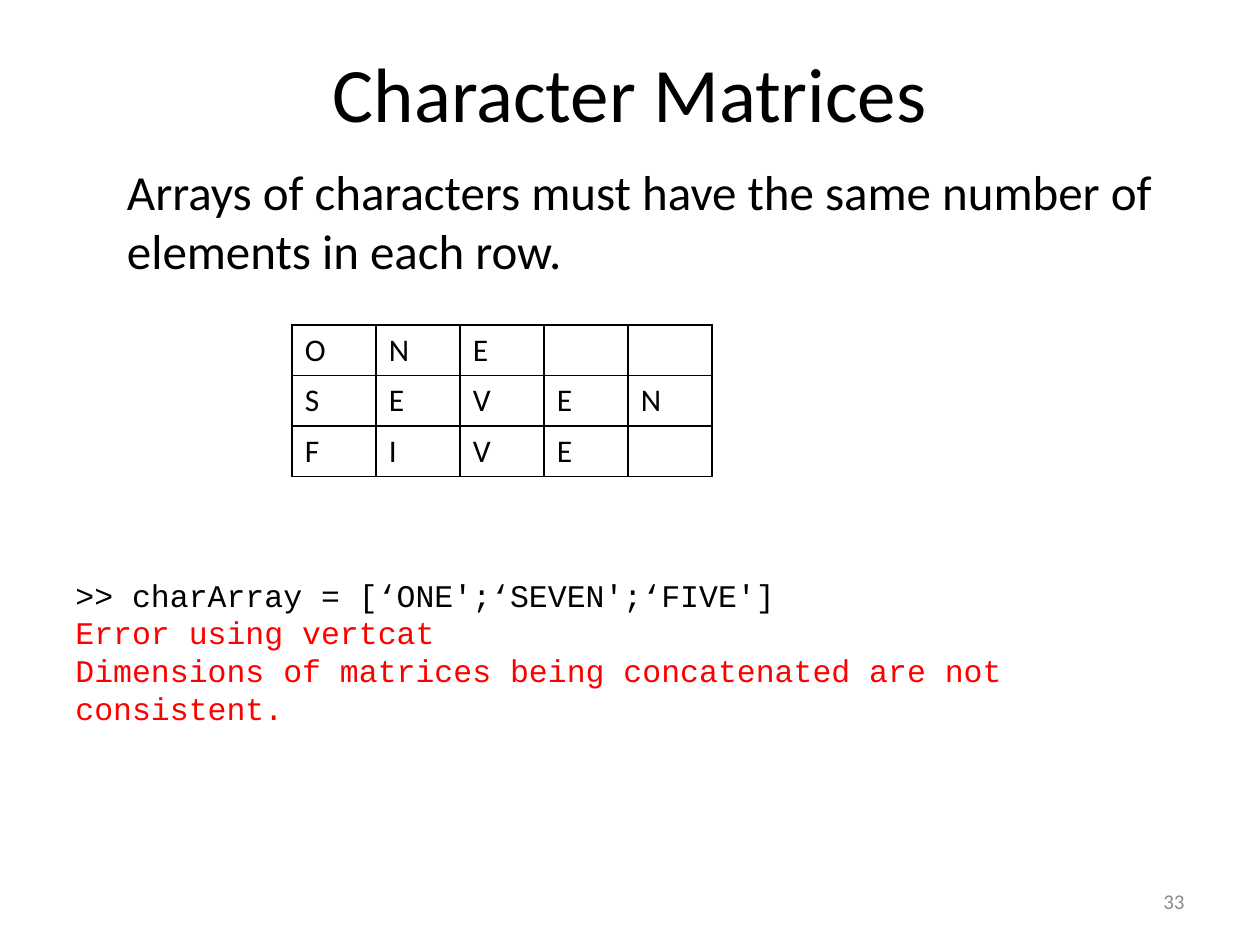
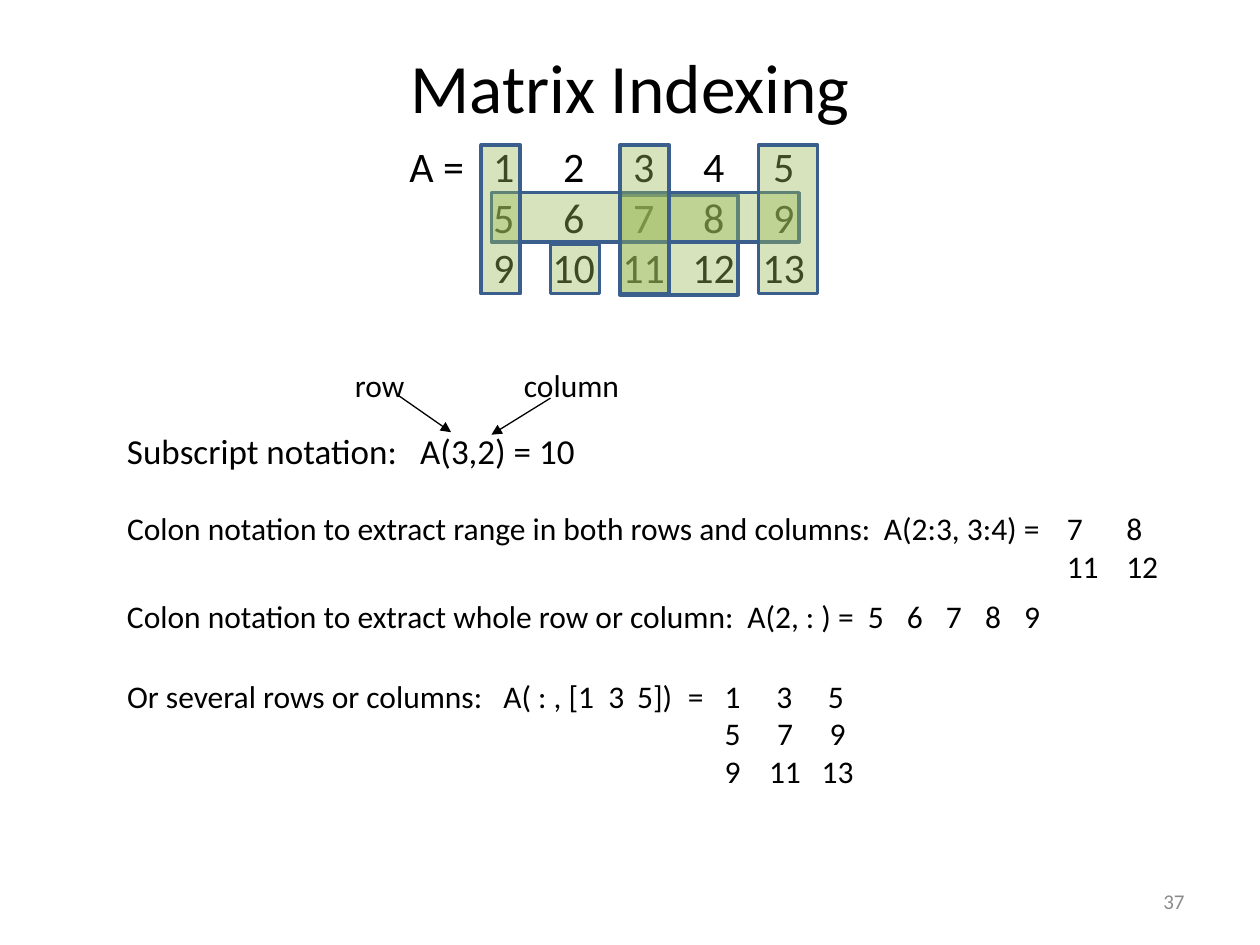
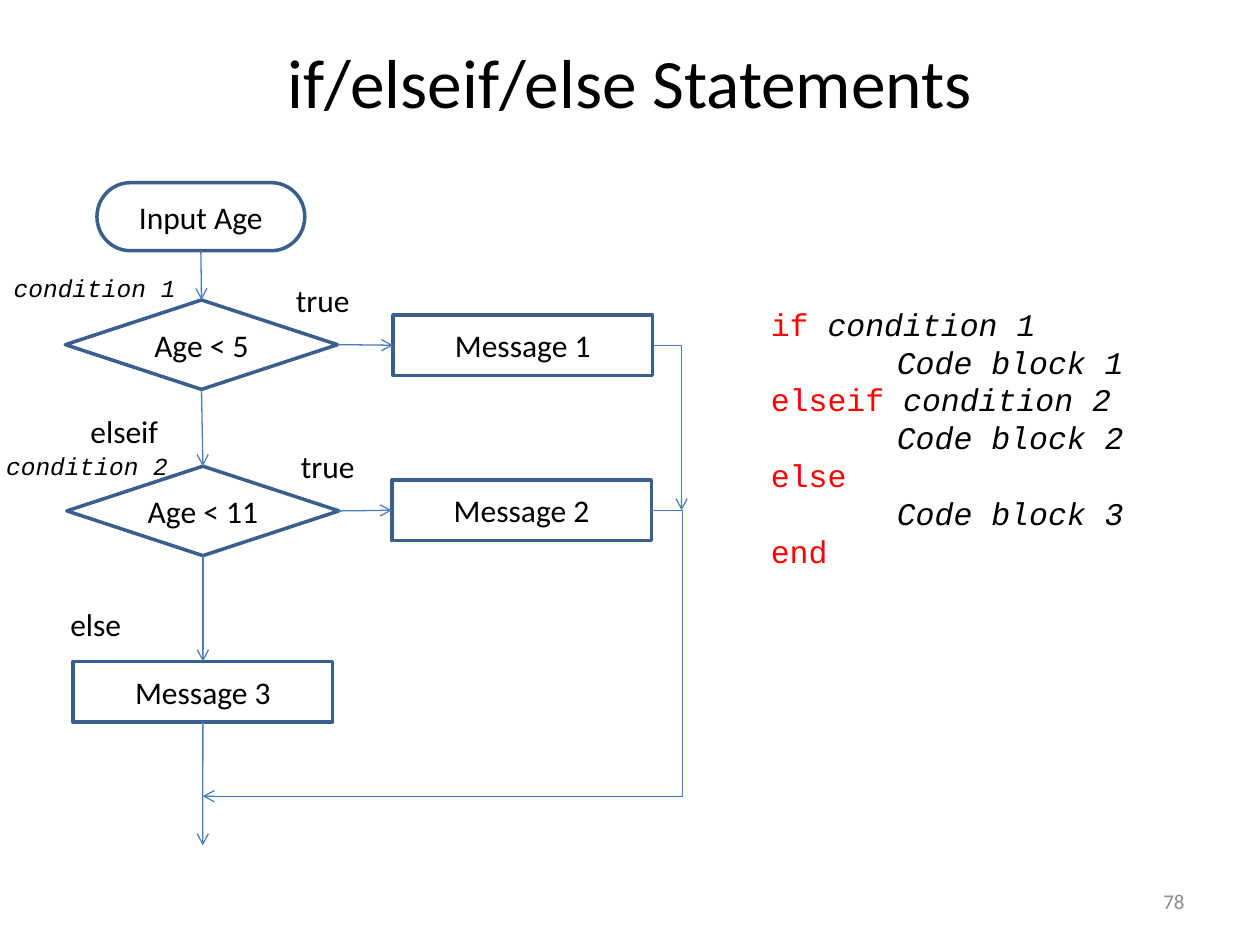
from lxml import etree
from pptx import Presentation
from pptx.dml.color import RGBColor
from pptx.enum.shapes import MSO_CONNECTOR, MSO_SHAPE
from pptx.enum.text import MSO_ANCHOR, MSO_AUTO_SIZE, PP_ALIGN
from pptx.oxml.ns import qn
from pptx.util import Pt

STRAIGHT, ELBOW = MSO_CONNECTOR.STRAIGHT, MSO_CONNECTOR.ELBOW
RECT, DECISION = MSO_SHAPE.RECTANGLE, MSO_SHAPE.FLOWCHART_DECISION
PROCESS, TERMINATOR = MSO_SHAPE.FLOWCHART_PROCESS, MSO_SHAPE.FLOWCHART_TERMINATOR
MIDDLE, NO_FIT = MSO_ANCHOR.MIDDLE, MSO_AUTO_SIZE.NONE
LEFT, CENTER, RIGHT = PP_ALIGN.LEFT, PP_ALIGN.CENTER, PP_ALIGN.RIGHT
TOP_SIDE, LEFT_SIDE, BOTTOM_SIDE, RIGHT_SIDE = range(4)

BODY, MONO = "Calibri", "Courier New"
BLACK, GREY, RED = "000000", "8C8C8C", "FF0000"
OUTLINE, ARROW, HIGHLIGHT = "3A5F8C", "4B7EBC", "9BBB59"
TEXT_X = 65.5
LINE_H = 28.8


# Shared helpers
def rgb(value):
    return RGBColor.from_string(value)


def points(*values):
    return [Pt(v) for v in values]


def sub(parent, tag, **attrs):
    return etree.SubElement(parent, qn(tag), attrs)


def style(p, size, face=BODY, colour=BLACK, italic=False):
    for r in p.runs:
        r.font.size, r.font.name, r.font.italic = Pt(size), face, italic
        r.font.color.rgb = rgb(colour)


def set_tabs(p, stops, align="l"):
    tab_list = sub(p._p.get_or_add_pPr(), "a:tabLst")
    for stop in stops:
        sub(tab_list, "a:tab", pos=str(int(Pt(stop))), algn=align)


def add_text(slide, box, lines, size=18, align=LEFT, **look):
    tf = slide.shapes.add_textbox(*points(*box)).text_frame
    tf.word_wrap = True
    tf.text = "\n".join(lines)
    for p in tf.paragraphs:
        p.alignment = align
        style(p, size, **look)
    return tf


def outlined_shape(slide, kind, box):
    sp = slide.shapes.add_shape(kind, *points(*box))
    sp.shadow.inherit = False
    sp.fill.background()
    sp.line.color.rgb = rgb(OUTLINE)
    sp.line.width = Pt(2)
    return sp


def add_arrow(slide, start, end, kind=STRAIGHT, colour=ARROW, head="arrow"):
    line = slide.shapes.add_connector(kind, *points(*start, *end))
    line.line.color.rgb = rgb(colour)
    line.line.width = Pt(0.75)
    sub(line.line._get_or_add_ln(), "a:tailEnd", type=head)
    sub(line._element.spPr, "a:effectLst")
    return line


def title_slide(prs, title, number, height, size):
    slide = prs.slides.add_slide(prs.slide_layouts[5])
    sp = slide.shapes.title
    sp.left, sp.top, sp.width, sp.height = points(36, 21.6, 648, height)
    tf = sp.text_frame
    tf.text = title
    tf.auto_size, tf.vertical_anchor = NO_FIT, MIDDLE
    tf.paragraphs[0].alignment = CENTER
    style(tf.paragraphs[0], size)
    footer = add_text(slide, (516.2, 500.4, 167.8, LINE_H), [number], 12, RIGHT, colour=GREY)
    footer.vertical_anchor = MIDDLE
    return slide


# Slide 1: character matrices
def letter_table(slide, x, y, words, col_w=48, row_h=LINE_H):
    cols = max(map(len, words))
    size = points(x, y, cols * col_w, len(words) * row_h)
    table = slide.shapes.add_table(len(words), cols, *size).table
    table.first_row = table.horz_banding = False
    for col in table.columns:
        col.width = Pt(col_w)
    for row, word in zip(table.rows, words):
        row.height = Pt(row_h)
        for cell, letter in zip(row.cells, word.ljust(cols)):
            cell.text = letter.strip()
            style(cell.text_frame.paragraphs[0], 18)
            tc_pr = cell._tc.get_or_add_tcPr()
            for side in ("a:lnL", "a:lnR", "a:lnT", "a:lnB"):
                ln = sub(tc_pr, side, w=str(int(Pt(1))))
                sub(sub(ln, "a:solidFill"), "a:srgbClr", val=BLACK)
            cell.fill.background()


def character_slide(prs):
    slide = title_slide(prs, "Character Matrices", "33", 61.2, 44)
    add_text(slide, (TEXT_X, 88.6, 612, 74.9),
             ["Arrays of characters must have the same number of elements in each row."], 28)
    command = add_text(slide, (36, 325.4, 590.4, 94.3), [
        ">> charArray = [‘ONE';‘SEVEN';‘FIVE']",
        "Error using vertcat",
        "Dimensions of matrices being concatenated are not consistent."], face=MONO)
    for p in command.paragraphs[1:]:
        style(p, 18, MONO, RED)
    letter_table(slide, 167, 185.8, ["ONE", "SEVEN", "FIVE"])


# Slide 2: matrix indexing
def highlighted_matrix(slide, x, y):
    tf = add_text(slide, (x, y, 266.4, 94.3),
                  ["A =\t1\t2\t3\t4\t5", "\t5\t6\t7\t8\t9", "\t9\t10\t11\t12\t13"], 24)
    for p in tf.paragraphs:
        set_tabs(p, [54 + 40 * i for i in range(5)], "ctr")
    element = (87.8, 62.6, 28.1, 28.1)
    block = (127.4, 34.6, 67.7, 56.9)
    row = (54, 33.1, 175.7, 28.1)
    columns = [(48.2 + 79.2 * i, 5.8, 22.3 + 5.8 * i, 85) for i in range(3)]
    for dx, dy, w, h in [element, block, row, *columns]:
        sp = outlined_shape(slide, RECT, (x + dx, y + dy, w, h))
        sp.fill.solid()
        sp.fill.fore_color.rgb = rgb(HIGHLIGHT)
        colour = sp._element.spPr.find(qn("a:solidFill"))[0]
        sub(colour, "a:alpha", val="40000")


def subscript_example(slide, x, y):
    tf = add_text(slide, (x, y + 36, 595.4, 31.7), ["Subscript notation:\tA(3,2) = 10"], 20)
    set_tabs(tf.paragraphs[0], [167.5])
    for label, dx, w, start, end in [
            ("row", 130.3, 62.6, (161.3, 19.5), (192.3, 41.1)),
            ("column", 226.8, 73.4, (249.1, 21.6), (215.3, 42.5))]:
        add_text(slide, (x + dx, y, w, LINE_H), [label])
        add_arrow(slide, (x + start[0], y + start[1]), (x + end[0], y + end[1]),
                  colour=BLACK, head="triangle")


def colon_examples(slide, x, y):
    ranges = add_text(slide, (x, y, 635, 51.1), [
        "Colon notation to extract range in both rows and columns:\tA(2:3, 3:4) =\t7\t8",
        "\t11\t12"])
    set_tabs(ranges.paragraphs[0], [432.5, 537, 571])
    set_tabs(ranges.paragraphs[1], [537, 571])

    whole = add_text(slide, (x, y + 50.4, 544.3, LINE_H), [
        "Colon notation to extract whole row or column:\tA(2, : ) =\t5\t6\t7\t8\t9"])
    set_tabs(whole.paragraphs[0], [354.5] + [423.4 + 22.3 * i for i in range(5)])

    several = add_text(slide, (x, y + 95.8, 572.4, 72.7), [
        "Or several rows or columns:\tA( : , [1\t3\t5])\t=\t1\t3\t5",
        "\t5\t7\t9", "\t9\t11\t13"])
    first, *others = several.paragraphs
    values = [346, 376, 406]
    set_tabs(first, [215, 275, 291.5, 320.5, 341.5, 371, 400.5])
    for p in others:
        set_tabs(p, values, "ctr")


def indexing_slide(prs):
    slide = title_slide(prs, "Matrix Indexing", "37", 55.4, 39.6)
    highlighted_matrix(slide, 226.8, 77)
    subscript_example(slide, TEXT_X, 205.9)
    colon_examples(slide, TEXT_X, 287.3)


# Slide 3: if/elseif/else
def flowchart(slide, x, y):
    def node(kind, label, dx, dy, w, h):
        sp = outlined_shape(slide, kind, (x + dx, y + dy, w, h))
        tf = sp.text_frame
        tf.text = label
        tf.vertical_anchor = MIDDLE
        tf.paragraphs[0].alignment = CENTER
        style(tf.paragraphs[0], 18)
        return sp

    def join(a, a_side, b, b_side):
        line = add_arrow(slide, (0, 0), (0, 0))
        line.begin_connect(a, a_side)
        line.end_connect(b, b_side)

    def at(dx, dy):
        return x + dx, y + dy

    diamond, message = (155.5, 51.1), (148.3, 34.6)
    age = node(TERMINATOR, "Input Age", 55.4, 0, 118.8, 38.9)
    under_5 = node(DECISION, "Age < 5", 37.4, 67, *diamond)
    under_11 = node(DECISION, "Age < 11", 38.2, 162, *diamond)
    message_1 = node(PROCESS, "Message 1", 224.6, 75.6, *message)
    message_2 = node(PROCESS, "Message 2", 223.9, 169.9, *message)
    message_3 = node(PROCESS, "Message 3", 41.8, 273.6, *message)

    # Straight arrows
    for a, b in [(age, under_5), (under_5, under_11), (under_11, message_3)]:
        join(a, BOTTOM_SIDE, b, TOP_SIDE)
    for a, b in [(under_5, message_1), (under_11, message_2)]:
        join(a, RIGHT_SIDE, b, LEFT_SIDE)
    exit_arrow = add_arrow(slide, at(115.9, 308.2), at(115.9, 378.7))
    exit_arrow.begin_connect(message_3, BOTTOM_SIDE)

    # Bent return arrows
    back = add_arrow(slide, at(372.2, 187.2), at(115.9, 350.6), ELBOW)
    geometry = back._element.spPr.find(qn("a:prstGeom"))
    sub(geometry.find(qn("a:avLst")), "a:gd", name="adj1", fmla="val -7000")
    corner = add_arrow(slide, at(372.9, 92.9), at(389.5, 187.2), ELBOW)
    corner._element.spPr.find(qn("a:prstGeom")).set("prst", "bentConnector2")

    # Branch and condition labels
    for label, dx, dy, w in [("elseif", 44.6, 127.4, 70.6), ("true", 162, 52.6, 56.9),
                             ("true", 164.9, 147.6, 56.9), ("else", 33.1, 237.6, 70.6)]:
        add_text(slide, (*at(dx, dy), w, LINE_H), [label])
    for label, dx, dy in [("condition 1", 0.7, 48.2), ("condition 2", -3.6, 149.8)]:
        add_text(slide, (*at(dx, dy), 109.4, 24.5), [label], 14, face=MONO, italic=True)


def code_listing(slide, box):
    lines = [("if ", "condition 1"), ("", "\tCode block 1"),
             ("elseif", " condition 2"), ("", "\tCode block 2"),
             ("else", ""), ("", "\tCode block 3"), ("end", "")]
    tf = add_text(slide, box, [keyword for keyword, _ in lines], face=MONO, colour=RED)
    for p, (_, rest) in zip(tf.paragraphs, lines):
        set_tabs(p, [72])
        if rest:
            r = p.add_run()
            r.text = rest
            r.font.size, r.font.name, r.font.italic = Pt(18), MONO, True
            r.font.color.rgb = rgb(BLACK)


def branching_slide(prs):
    slide = title_slide(prs, "if/elseif/else Statements", "78", 49.7, 39.6)
    code_listing(slide, (433.4, 170.6, 223.9, 181.4))
    flowchart(slide, 0, 104.4)


def main():
    prs = Presentation()
    prs.slide_width, prs.slide_height = points(720, 540)
    character_slide(prs)
    indexing_slide(prs)
    branching_slide(prs)
    prs.save("out.pptx")


if __name__ == "__main__":
    main()
